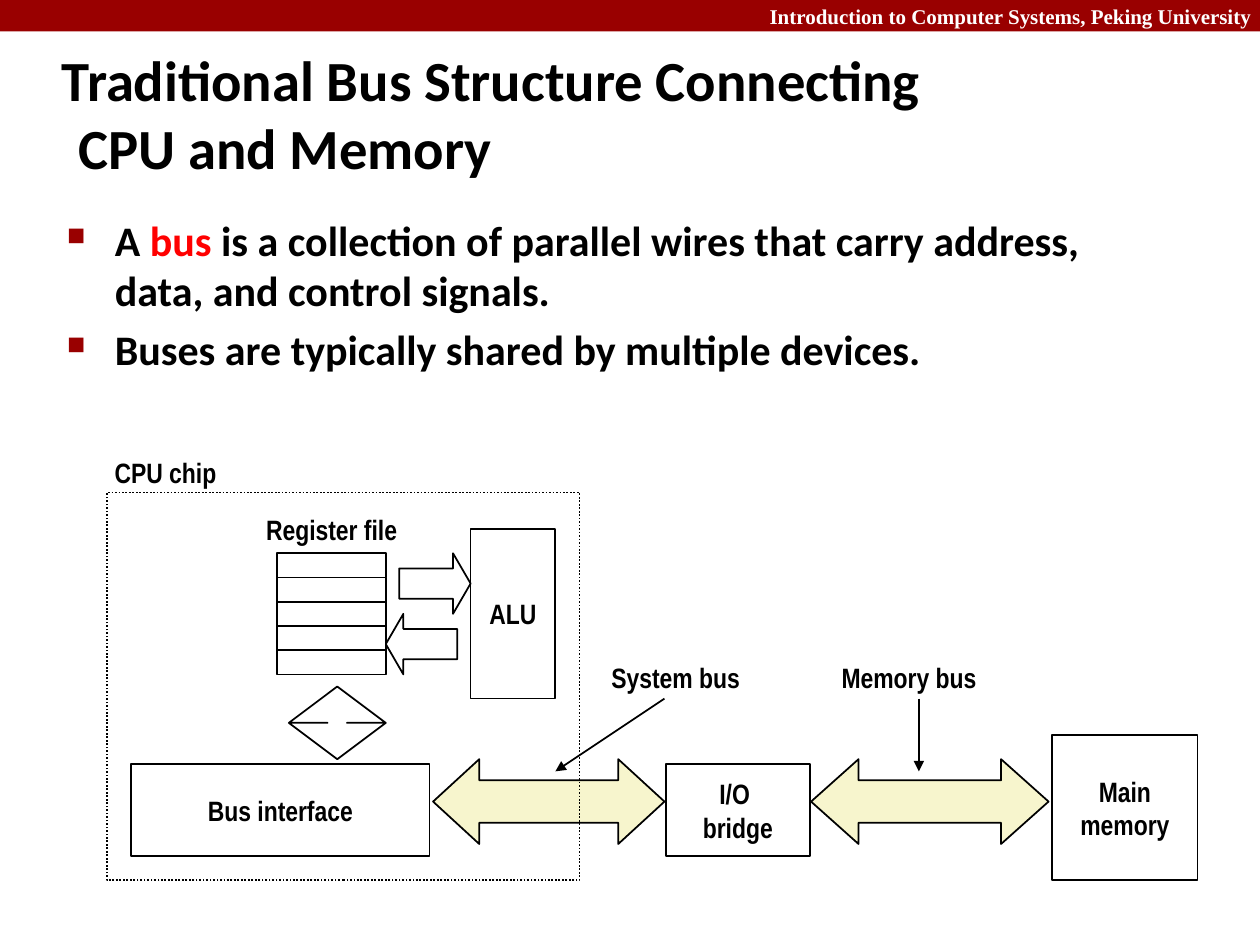
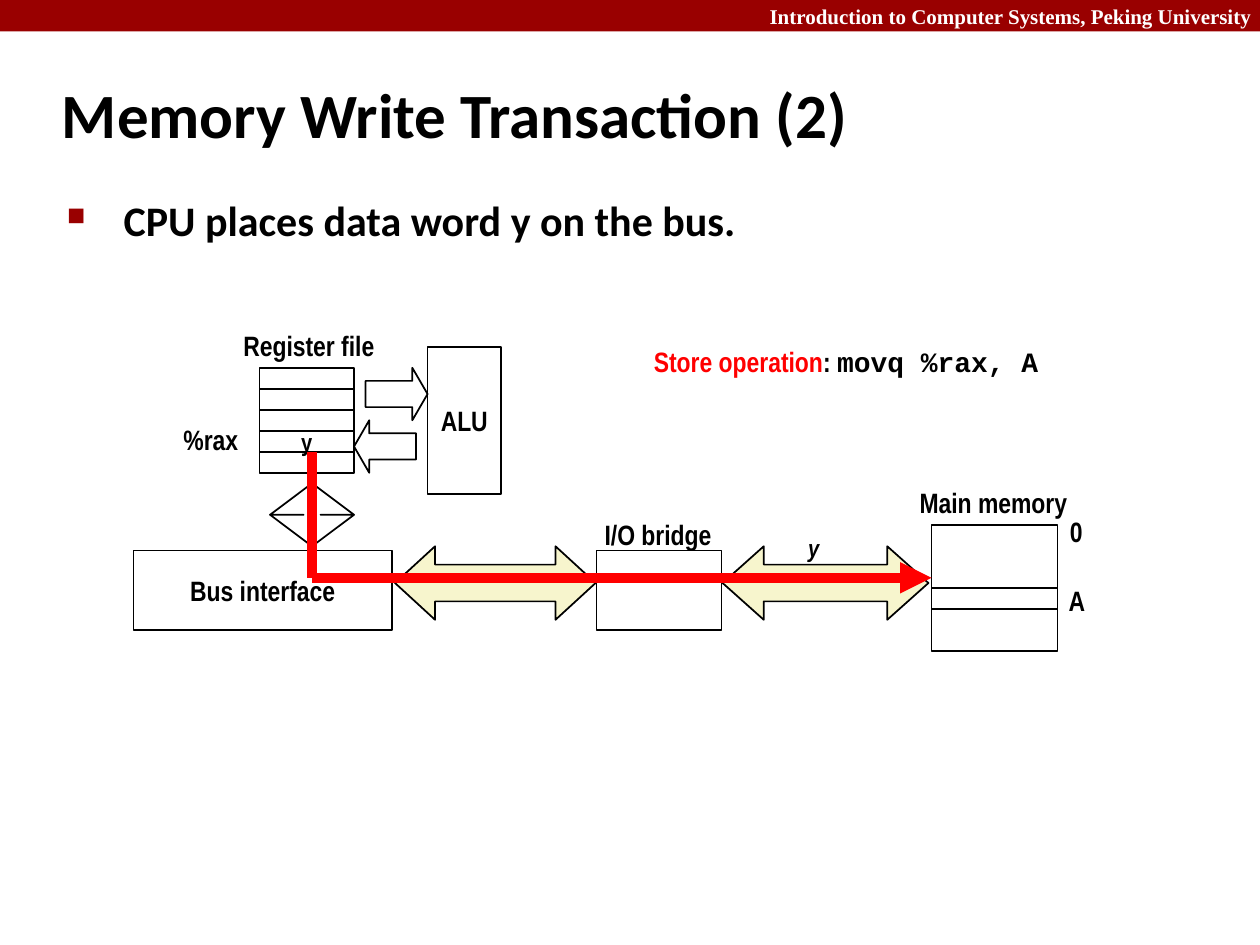
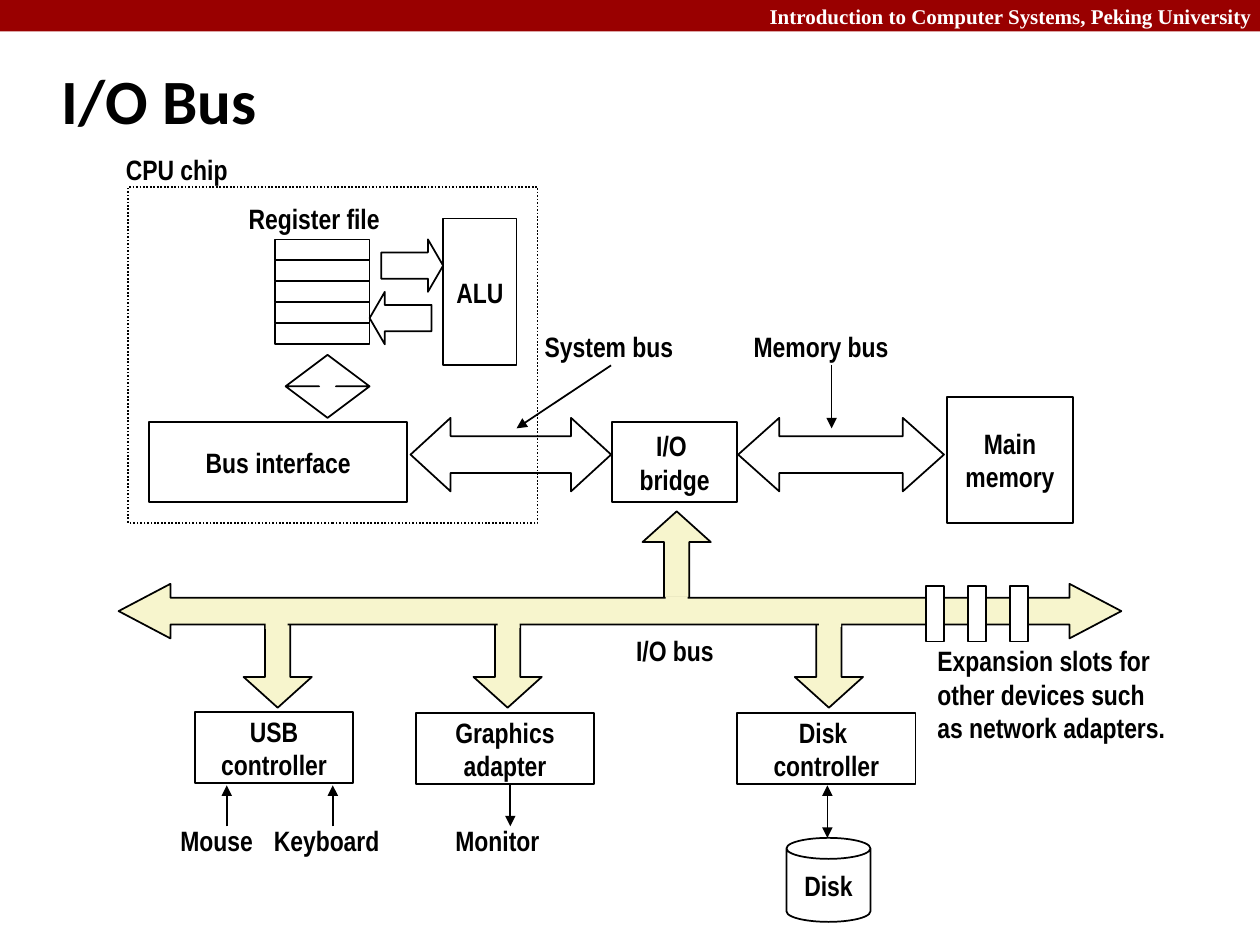
import pptx
import pptx.util
import pptx.dml.color
import pptx.enum.dml
import pptx.enum.shapes
import pptx.enum.text
import pptx.oxml.ns
from lxml import etree

RGB = pptx.dml.color.RGBColor
BLACK = RGB(0x00, 0x00, 0x00)
WHITE = RGB(0xFF, 0xFF, 0xFF)
RED = RGB(0xFF, 0x00, 0x00)
WINE = RGB(0x99, 0x00, 0x00)
CREAM = RGB(0xF7, 0xF5, 0xCD)

FORM = pptx.enum.shapes.MSO_SHAPE
ALIGN = pptx.enum.text.PP_ALIGN
MIDDLE = pptx.enum.text.MSO_ANCHOR.MIDDLE
TOP = pptx.enum.text.MSO_ANCHOR.TOP
CELL = 1 / 12  # inches; the slide is 120 columns by 90 rows
qn = pptx.oxml.ns.qn


def put(frame, text, size=16, font="Arial Narrow", color=BLACK, italic=False,
        align=ALIGN.LEFT, anchor=MIDDLE, wrap=False, hang=0, bullet=False, gap=0):
    """Fill a frame; text is a list of paragraphs or one paragraph.

    A paragraph is a string or a tuple of runs; a run is a string or a
    (string, changes) pair.
    """
    frame.word_wrap = wrap
    frame.auto_size = pptx.enum.text.MSO_AUTO_SIZE.NONE
    frame.vertical_anchor = anchor
    for num, runs in enumerate(text if isinstance(text, list) else [text]):
        para = frame.add_paragraph() if num else frame.paragraphs[0]
        para.alignment = align
        para.space_before = pptx.util.Pt(gap if num else 0)
        props = para._p.get_or_add_pPr()
        if hang:
            step = pptx.util.Inches(hang)
            props.set("marL", str(step))
            props.set("indent", str(-step))
        if bullet:
            tint = etree.SubElement(props, qn("a:buClr"))
            etree.SubElement(tint, qn("a:srgbClr"), val=str(WINE))
            etree.SubElement(props, qn("a:buSzPct"), val="60000")
            etree.SubElement(props, qn("a:buChar"), char="■")
        for part in (runs if isinstance(runs, tuple) else (runs,)):
            words, diff = part if isinstance(part, tuple) else (part, {})
            for row, piece in enumerate(words.split("\n")):
                if row:
                    para.add_line_break()
                run = para.add_run()
                run.text = piece
                face = run.font
                face.size = pptx.util.Pt(size)
                face.name = diff.get("font", font)
                face.bold = True
                face.italic = italic
                face.color.rgb = diff.get("color", color)


class Deck:
    """Holds the style, the current slide and the current grid."""

    def __init__(self):
        self.file = pptx.Presentation()
        self.file.slide_width = pptx.util.Inches(10)
        self.file.slide_height = pptx.util.Inches(7.5)
        self.grid()

    def grid(self, left=0, top=0, scale=1):
        self.left, self.top, self.scale = left, top, scale

    def size(self, cells):
        return pptx.util.Inches(cells * self.scale * CELL)

    def spot(self, col, row):
        return (pptx.util.Inches(self.left * CELL) + self.size(col),
                pptx.util.Inches(self.top * CELL) + self.size(row))

    def area(self, col, row, wide, high):
        return (*self.spot(col, row), self.size(wide), self.size(high))

    def page(self, title, row=5.76, size=36):
        self.grid()
        self.slide = self.file.slides.add_slide(self.file.slide_layouts[5])
        self.shapes = self.slide.shapes
        # Band with the course name
        self.box(0, 0, 120, 3, fill=WINE, line=None)
        self.text("Introduction to Computer Systems, Peking University",
                  72, 0, 48.4, 3, size=12, font="Times New Roman",
                  color=WHITE, align=ALIGN.RIGHT)
        head = self.shapes.title
        head.left, head.top, head.width, head.height = self.area(4.7, row, 110, 10)
        put(head.text_frame, title, size=size, font="Calibri", wrap=True, hang=0.13)

    def text(self, text, col, row, wide, high, **form):
        item = self.shapes.add_textbox(*self.area(col, row, wide, high))
        put(item.text_frame, text, **form)

    def label(self, text, col, mid, wide=16, **form):
        self.text(text, col, mid - 2, wide, 4, **form)

    def points(self, text, row, hang=0.38):
        self.text(text, 5.2, row, 103.7, 20, size=24, font="Calibri",
                  anchor=TOP, wrap=True, hang=hang, bullet=True, gap=4.8)

    def box(self, col, row, wide, high, text=None, kind=FORM.RECTANGLE,
            adj=(), fill=None, line=BLACK, dash=None, **form):
        item = self.shapes.add_shape(kind, *self.area(col, row, wide, high))
        item.shadow.inherit = False
        for num, share in enumerate(adj):
            item.adjustments[num] = share
        for paint, tint in ((item.fill, fill), (item.line.fill, line)):
            if tint is None:
                paint.background()
            else:
                paint.solid()
                paint.fore_color.rgb = tint
        if line is not None:
            item.line.width = pptx.util.Pt(1)
        if dash:
            item.line.dash_style = dash
        if text:
            put(item.text_frame, text, align=ALIGN.CENTER, **form)

    def line(self, start, end, color=BLACK, width=1, ends=("tailEnd",)):
        item = self.shapes.add_connector(
            pptx.enum.shapes.MSO_CONNECTOR.STRAIGHT, *self.spot(*start), *self.spot(*end))
        item.line.color.rgb = color
        item.line.width = pptx.util.Pt(width)
        props = item._element.spPr
        for end in ends:
            etree.SubElement(props.find(qn("a:ln")), qn("a:" + end), type="triangle")
        etree.SubElement(props, qn("a:effectLst"))

    def core(self, names, regs=()):
        """Registers, ALU, bus interface, buses and bridge, on the current grid."""
        fill, bridge, memory = names
        self.box(78, 20, 12, 12, memory)
        for col, wide, tip in ((58.1, 19.6, 0.56), (26.9, 19.1, 0.545)):
            self.box(col, 22, wide, 7, kind=FORM.LEFT_RIGHT_ARROW, adj=(0.5, tip), fill=fill)
        self.box(46.1, 22.4, 11.9, 7.6, bridge)
        for num in range(5):
            self.box(14, 5 + 2 * num, 9, 2, dict(regs).get(num), size=14)
        self.box(24.1, 5, 5.9, 5, kind=FORM.RIGHT_ARROW, adj=(0.5, 0.29))
        self.box(23, 10, 5.9, 5, kind=FORM.LEFT_ARROW, adj=(0.5, 0.29))
        self.box(30, 3, 7, 14, "ALU")
        self.box(15, 16, 8, 6, kind=FORM.UP_DOWN_ARROW, adj=(0.5, 0.2))
        self.box(2, 22.4, 24.6, 7.6, "Bus interface", fill=WHITE)

    def chip(self, fill, cols):
        """The core with its chip outline and the bus names."""
        self.core((fill, ["I/O ", "bridge"], ["Main", "memory"]))
        self.box(0, 0, 39, 32, dash=pptx.enum.dml.MSO_LINE.ROUND_DOT)
        names = ("CPU chip", "Register file", "System bus", "Memory bus")
        for name, col, mid in zip(names, cols, (-1.7, 3, 15.2, 15.2)):
            self.label(name, col, mid)
        self.line((46, 17), (37, 23))
        self.line((67, 17), (67, 23))


def buses(deck):
    deck.page("Traditional Bus Structure Connecting\nCPU and Memory", size=32.4)
    deck.points([("A ", ("bus", {"color": RED}),
                  " is a collection of parallel wires that carry address, "
                  "data, and control signals."),
                 "Buses are typically shared by multiple devices."], row=19.8)
    deck.grid(10.2, 46.92, 1.154)
    deck.chip(CREAM, (-0.4, 12.1, 40.6, 59.6))


def write(deck):
    deck.page("Memory Write Transaction (2)")
    deck.points("CPU places data word y on the bus.", row=17.9, hang=0.45)
    deck.grid(10.72, 30.03)
    deck.core((CREAM, None, None), regs=((3, "y"),))
    # Path of the data word
    deck.line((19, 13), (19, 25), color=RED, width=6, ends=())
    deck.line((19, 25), (78, 25), color=RED, width=6)
    deck.box(78, 26, 12, 2)
    # Names
    deck.grid()
    for name, col, mid, wide in (
            ("Register file", 22, 32.9, 15.1), ("Main memory", 86.4, 47.8, 16.7),
            ("0", 100.7, 50.6, 3.9), ("A", 100.6, 57.2, 4.3),
            ("%rax", 16.3, 41.8, 7.7), ("I/O bridge", 56.4, 50.9, 12.7)):
        deck.label(name, col, mid, wide)
    deck.label("y", 75.8, 52.2, 3.8, size=14, italic=True)
    deck.label((("Store operation", {"color": RED}), ": ",
                ("movq %rax, A", {"font": "Courier New"})), 61.1, 34.4, 39.6)


def devices(deck):
    deck.page("I/O Bus", row=4.44)
    deck.grid(12.2, 17.8)
    deck.chip(None, (-1.4, 10.3, 38.5, 58.4))
    deck.grid()
    # Branches of the I/O bus, then the bus and the joints that open it
    stem = (0.37, 0.45)
    deck.box(61.2, 48.7, 6.5, 9, kind=FORM.UP_ARROW, adj=stem, fill=CREAM)
    for col in (23.2, 45.1, 75.7):
        deck.box(col, 58.4, 6.5, 9, kind=FORM.DOWN_ARROW, adj=stem, fill=CREAM)
    deck.box(11.3, 55.6, 95.5, 5.2, kind=FORM.LEFT_RIGHT_ARROW,
             adj=(0.49, 0.95), fill=CREAM)
    for col, row in ((25.3, 57.8), (47.4, 57.7), (78, 57.6), (63.4, 56.8)):
        deck.box(col, row, 2.1, 2.1, fill=CREAM, line=None)
    deck.label("I/O bus", 59.4, 61.9, 11.5)
    # Expansion slots
    for num in range(3):
        deck.box(88.2 + 4 * num, 55.8, 1.7, 5.3, fill=WHITE)
    deck.text(["Expansion slots for", "other devices such", "as network adapters."],
              88.1, 60.7, 29, 14, anchor=TOP)
    # Controllers
    for names, col, row, wide in (
            (["USB", "controller"], 18.6, 67.8, 15),
            (["Graphics", "adapter"], 39.6, 67.9, 17),
            (["Disk ", "controller"], 70.2, 67.9, 17)):
        deck.box(col, row, wide, 6.8, names)
    # Devices
    for col in (21.6, 31.7):
        deck.line((col, 78.7), (col, 74.8))
    deck.line((48.6, 74.8), (48.6, 78.7))
    deck.line((78.8, 74.8), (78.8, 79.8), ends=("headEnd", "tailEnd"))
    for name, col, wide in (("Mouse", 16, 9.4), ("Keyboard", 24.9, 12.6),
                            ("Monitor", 42.2, 10.6)):
        deck.label(name, col, 80, wide)
    deck.box(74.9, 79.8, 8, 8, "Disk", kind=FORM.CAN, adj=(0.25,))


def main():
    deck = Deck()
    for build in (buses, write, devices):
        build(deck)
    deck.file.save("out.pptx")


if __name__ == "__main__":
    main()
